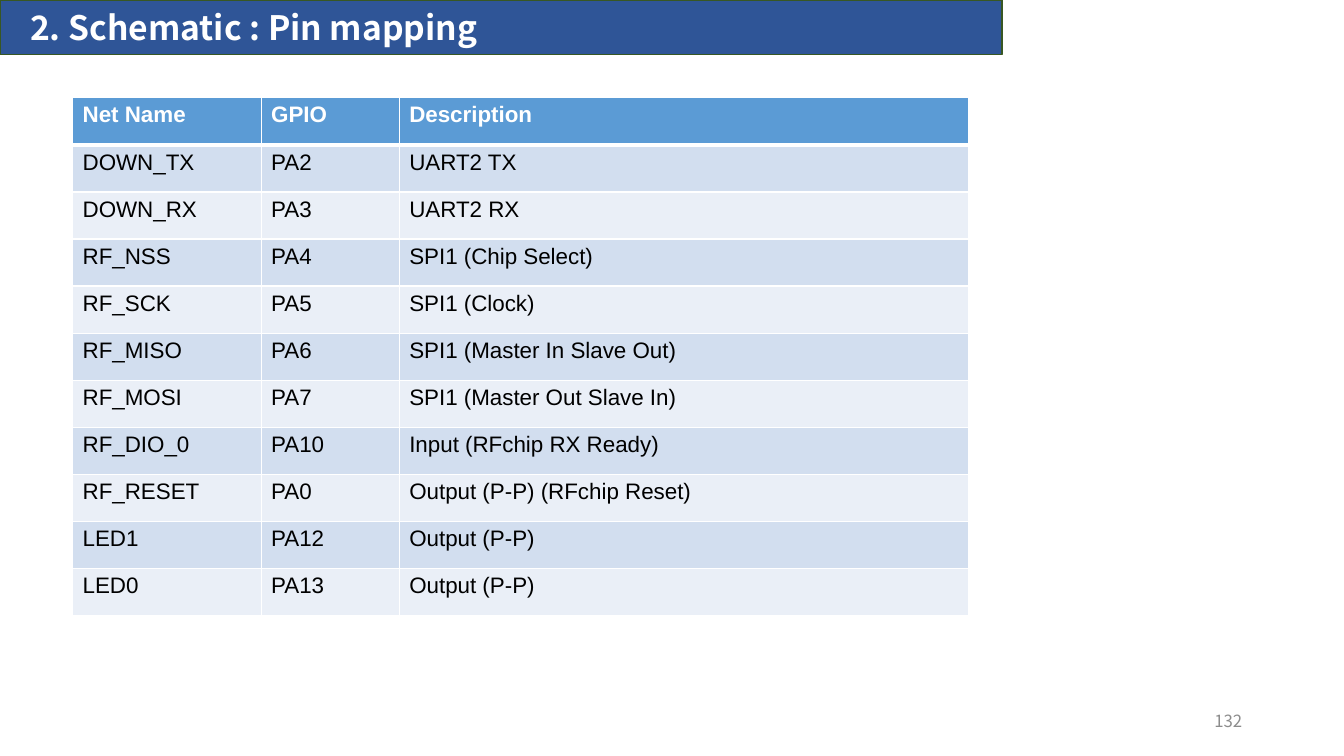
from dataclasses import dataclass
from typing import Any

from lxml.etree import SubElement
from pptx import Presentation
from pptx.dml.color import RGBColor
from pptx.enum.shapes import MSO_SHAPE as Shape
from pptx.enum.text import MSO_ANCHOR as Anchor, PP_ALIGN as Align
from pptx.oxml.ns import qn
from pptx.util import Emu, Pt

EMU_PER_PX = 9144
TITLE_FONT = "Noto Sans CJK KR"
TABLE_FONT = "Arial"
WHITE = "FFFFFF"
HEADER_FILL = "5B9BD5"
BAND_FILLS = ("D2DEEF", "EAEFF7")
COLUMN_WIDTHS = (187, 137, 565)
HEADINGS = ("Net Name", "GPIO", "Description")


@dataclass(frozen=True)
class Pin:
    net: str
    gpio: str
    description: str


PINS = (
    Pin("DOWN_TX", "PA2", "UART2 TX"),
    Pin("DOWN_RX", "PA3", "UART2 RX"),
    Pin("RF_NSS", "PA4", "SPI1 (Chip Select)"),
    Pin("RF_SCK", "PA5", "SPI1 (Clock)"),
    Pin("RF_MISO", "PA6", "SPI1 (Master In Slave Out)"),
    Pin("RF_MOSI", "PA7", "SPI1 (Master Out Slave In)"),
    Pin("RF_DIO_0", "PA10", "Input (RFchip RX Ready)"),
    Pin("RF_RESET", "PA0", "Output (P-P) (RFchip Reset)"),
    Pin("LED1", "PA12", "Output (P-P)"),
    Pin("LED0", "PA13", "Output (P-P)"),
)


def px(n: int) -> Emu:
    return Emu(n * EMU_PER_PX)


def rgb(color: str) -> RGBColor:
    return RGBColor.from_string(color)


def write(tf: Any, text: str, color: str, **font: Any) -> Any:
    """Put one formatted run in the text frame and return its paragraph."""
    p = tf.paragraphs[0]
    r = p.add_run()
    r.text = text
    for name, value in font.items():
        setattr(r.font, name, value)
    r.font.color.rgb = rgb(color)
    return p


def add_borders(cell: Any, widths: dict[str, int]) -> None:
    """Draw white cell borders; widths are points keyed by side (L, R, T, B)."""
    tc_pr = cell._tc.get_or_add_tcPr()
    for i, (side, width) in enumerate(widths.items()):
        ln = SubElement(tc_pr, qn(f"a:ln{side}"), w=str(Pt(width)))
        fill = SubElement(ln, qn("a:solidFill"))
        SubElement(fill, qn("a:srgbClr"), val=WHITE)
        tc_pr.insert(i, ln)


def add_title_bar(slide: Any, text: str) -> None:
    sp = slide.shapes.add_shape(Shape.RECTANGLE, 0, 0, px(994), px(54))
    sp.shadow.inherit = False
    sp.fill.solid()
    sp.fill.fore_color.rgb = rgb("2F5597")
    sp.line.color.rgb = rgb("385723")
    sp.line.width = Pt(1)
    tf = sp.text_frame
    tf.vertical_anchor = Anchor.MIDDLE
    p = write(tf, text, WHITE, name=TITLE_FONT, size=Pt(24), bold=True)
    p.alignment = Align.LEFT
    p._p.get_or_add_pPr().set("marL", str(px(20)))


def add_pin_table(slide: Any) -> None:
    rows = [HEADINGS] + [(pin.net, pin.gpio, pin.description) for pin in PINS]
    frame = slide.shapes.add_table(
        len(rows), len(HEADINGS), px(72), px(97), px(sum(COLUMN_WIDTHS)), px(514)
    )
    table = frame.table
    for column, width in zip(table.columns, COLUMN_WIDTHS):
        column.width = px(width)
    for i, row in enumerate(rows):
        header = i == 0
        fill = HEADER_FILL if header else BAND_FILLS[(i - 1) % 2]
        borders = {"L": 1, "R": 1, "T": 3 if i == 1 else 1, "B": 3 if header else 1}
        for j, text in enumerate(row):
            cell = table.cell(i, j)
            cell.fill.solid()
            cell.fill.fore_color.rgb = rgb(fill)
            add_borders(cell, borders)
            color = WHITE if header else "000000"
            write(cell.text_frame, text, color, name=TABLE_FONT, size=Pt(16), bold=header)


def add_page_number(slide: Any, number: str) -> None:
    tf = slide.shapes.add_textbox(px(942), px(695), px(300), px(40)).text_frame
    tf.word_wrap = True
    tf.vertical_anchor = Anchor.MIDDLE
    p = write(tf, number, "8C8C8C", name=TITLE_FONT, size=Pt(12))
    p.alignment = Align.RIGHT


def main() -> None:
    prs = Presentation()
    prs.slide_width, prs.slide_height = px(1333), px(750)
    slide = prs.slides.add_slide(prs.slide_layouts[6])
    add_page_number(slide, "132")
    add_title_bar(slide, "2. Schematic : Pin mapping")
    add_pin_table(slide)
    prs.save("out.pptx")


if __name__ == "__main__":
    main()
